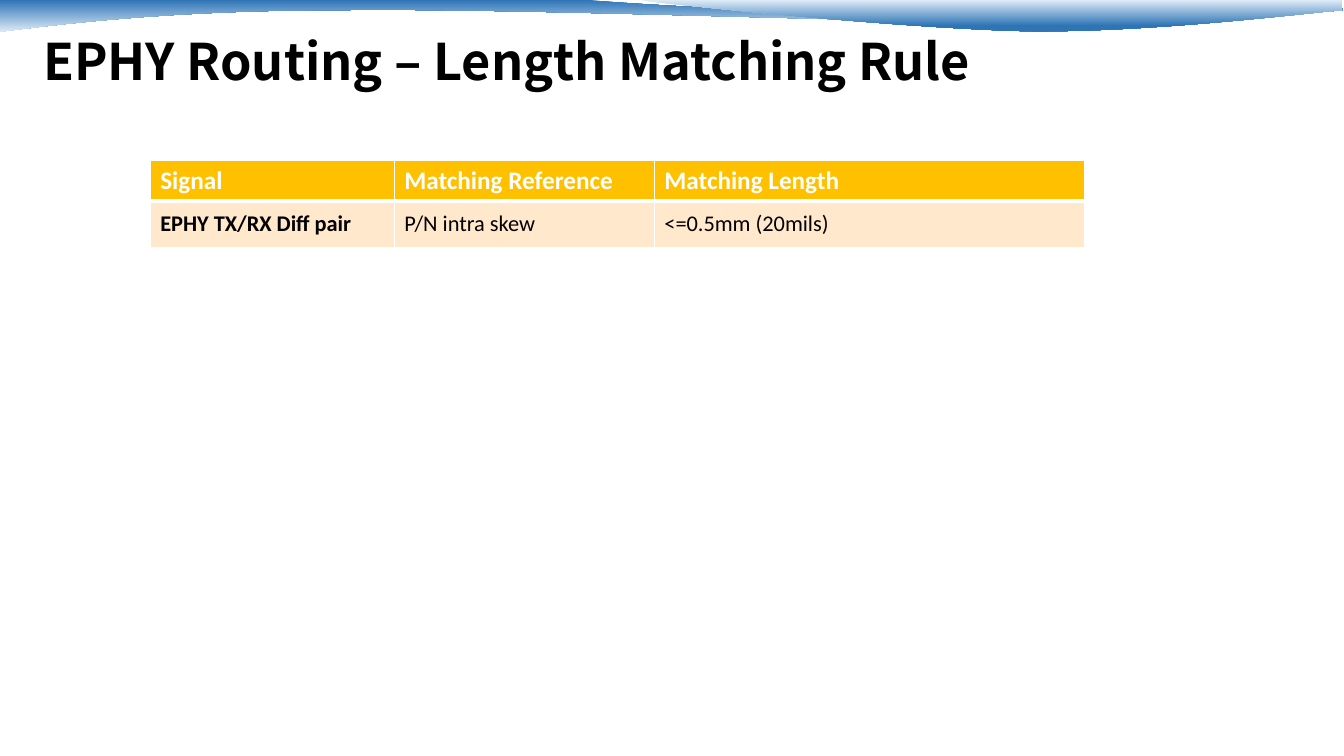
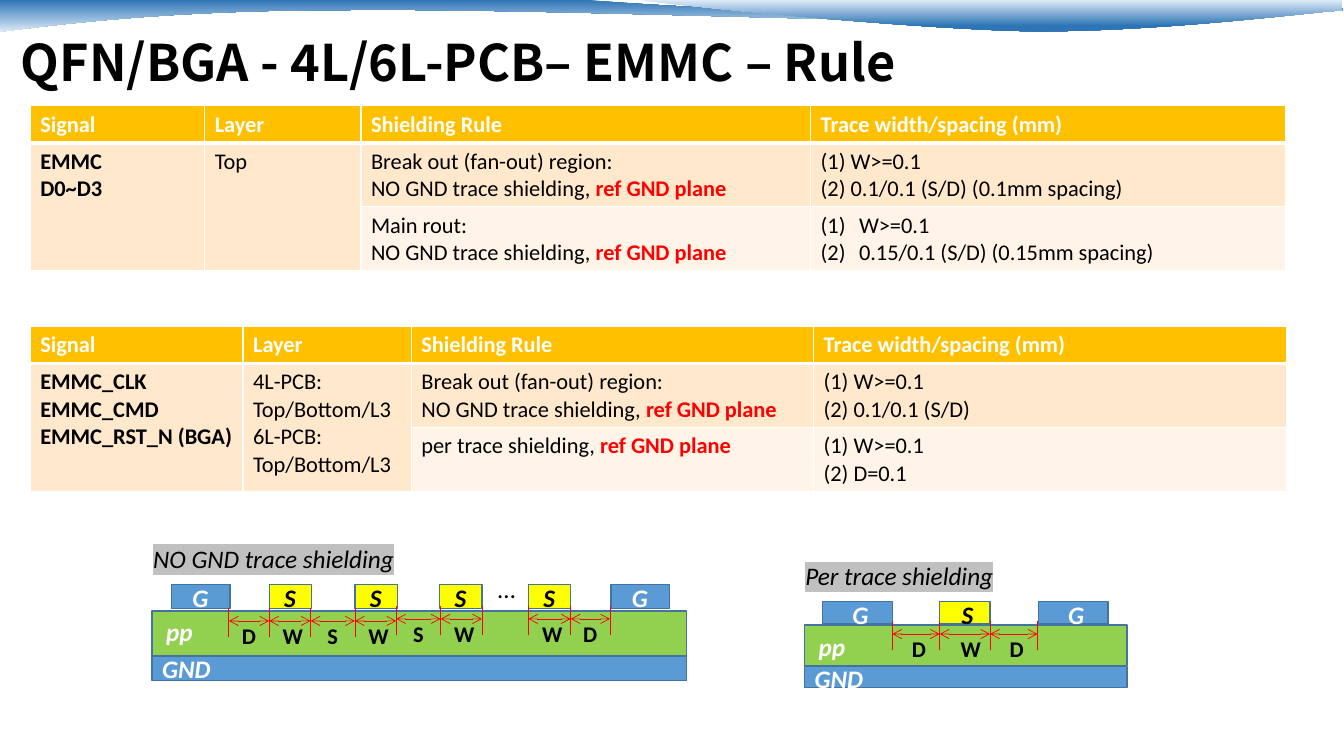
from dataclasses import dataclass
from itertools import pairwise

from lxml import etree
from pptx import Presentation
from pptx.dml.color import RGBColor
from pptx.enum.shapes import MSO_CONNECTOR as Connector, MSO_SHAPE as Preset
from pptx.enum.text import MSO_ANCHOR as Anchor, MSO_AUTO_SIZE as AutoSize
from pptx.oxml.ns import qn
from pptx.util import Inches, Pt


@dataclass(frozen=True)
class Theme:
    title_font: str = "Noto Sans CJK TC"
    body_font: str = "Calibri"
    title_size: int = 36
    large: int = 18
    small: int = 16
    black: str = "000000"
    white: str = "FFFFFF"
    red: str = "FF0000"
    header: str = "FFC000"
    odd_row: str = "FFE8CC"
    even_row: str = "FFF4E7"
    wave_dark: str = "2E75B6"
    wave_light: str = "DEEBF7"
    prepreg: str = "92D050"
    copper: str = "5B9BD5"
    signal: str = "FFFF00"
    outline: str = "43739E"
    highlight: str = "C0C0C0"


THEME = Theme()


@dataclass(frozen=True)
class Section:
    caption: str
    left: float
    top: float
    width: float
    pad_height: float
    prepreg: tuple
    ground: tuple
    pads: tuple
    runs: tuple
    label_shift: float = 0


WAVES = (
    (
        (((-0.03, 0),), ((5.84, 0),),
         ((6.32, 0.05), (8.82, 0.18), (10.09, 0.18)),
         ((11.35, 0.18), (12.75, 0.07), (13.31, 0.03)),
         ((13.32, 0.1),),
         ((13.09, 0.13), (11.57, 0.22), (9.92, 0.22)),
         ((8.27, 0.21), (5.06, 0.08), (3.4, 0.1)),
         ((1.7, 0.1), (0.59, 0.24), (-0.04, 0.32))),
        ((0, THEME.wave_dark), (1, THEME.wave_light)),
    ),
    (
        (((6.36, 0),),
         ((6.77, 0.06), (9.07, 0.29), (10.22, 0.31)),
         ((11.38, 0.32), (12.79, 0.15), (13.31, 0.1)),
         ((13.31, 0),)),
        ((0, THEME.wave_light), (0.8, THEME.wave_dark)),
    ),
)

SECTIONS = (
    Section(
        "NO GND trace shielding", 1.51, 5.8, 5.3, 0.24, (0.26, 0.51), (0.71, 0.24),
        (("G", 0.19, 0.58), ("S", 1.16, 0.42), ("S", 2.01, 0.42),
         ("S", 2.85, 0.42), ("S", 3.73, 0.42), ("G", 4.55, 0.58)),
        ((0.36, (0.76, 1.16, 1.57, 2.01, 2.42), "DWSW"),
         (0.34, (2.42, 2.86, 3.27), "SW"),
         (0.34, (3.73, 4.15, 4.54), "WD")),
    ),
    Section(
        "Per trace shielding", 7.98, 5.97, 3.2, 0.22, (0.23, 0.4), (0.64, 0.21),
        (("G", 0.18, 0.69), ("S", 1.34, 0.5), ("G", 2.32, 0.69)),
        ((0.32, (0.87, 1.34, 1.84, 2.31), "DWD"),),
        0.03,
    ),
)

RULE_HEADER = ("Signal", "Layer", "Shielding Rule", "Trace width/spacing (mm)")
BREAK_OUT = ("Break out (fan-out) region:\nNO GND trace shielding, *ref GND plane*",)
DATA_RULES = (
    (("EMMC", "D0~D3"), ("Top",), BREAK_OUT,
     ("(1) W>=0.1", "(2) 0.1/0.1 (S/D) (0.1mm spacing)")),
    (None, None, ("Main rout:", "NO GND trace shielding, *ref GND plane*"),
     ("#W>=0.1", "#0.15/0.1 (S/D) (0.15mm spacing)")),
)
CONTROL_RULES = (
    (("EMMC_CLK", "EMMC_CMD", "EMMC_RST_N (BGA)"),
     ("4L-PCB: \nTop/Bottom/L3", "6L-PCB:\nTop/Bottom/L3"), BREAK_OUT,
     ("(1) W>=0.1", "(2) 0.1/0.1 (S/D)")),
    (None, None, ("per trace shielding, *ref GND plane*",), ("(1) W>=0.1", "(2) D=0.1")),
)


def color(value):
    return RGBColor.from_string(value)


def style(font, size, value, bold=False, italic=False, name=THEME.body_font):
    font.name = name
    font.size = Pt(size)
    font.bold = bold
    font.italic = italic
    font.color.rgb = color(value)


def bend(shape, pieces):
    lines = iter(list(shape._element.iter(qn("a:lnTo"))))
    for piece in pieces:
        steps = [next(lines) for _ in piece]
        if len(steps) == 3:
            curve = etree.Element(qn("a:cubicBezTo"))
            steps[0].addprevious(curve)
            for step in steps:
                curve.append(step[0])
                step.getparent().remove(step)


def add_waves(page):
    for pieces, stops in WAVES:
        corners = [(Inches(x), Inches(y)) for piece in pieces for x, y in piece]
        builder = page.shapes.build_freeform(*corners[0])
        builder.add_line_segments(corners[1:], close=True)
        wave = builder.convert_to_shape()
        bend(wave, pieces[1:])
        wave.shadow.inherit = False
        wave.line.fill.background()
        wave.fill.gradient()
        wave.fill.gradient_angle = 270
        for stop, (position, value) in zip(wave.fill.gradient_stops, stops):
            stop.position = position
            stop.color.rgb = color(value)


def add_title(page, text, left, top):
    box = page.shapes.add_textbox(Inches(left), Inches(top), Inches(12.26), Inches(0.79))
    frame = box.text_frame
    frame.word_wrap = True
    frame.vertical_anchor = Anchor.BOTTOM
    frame.margin_top = frame.margin_bottom = 0
    para = frame.paragraphs[0]
    para.text = text
    para.line_spacing = 0.9
    style(para.font, THEME.title_size, THEME.black, bold=True, name=THEME.title_font)


def add_page(deck, title, left, top):
    page = deck.slides.add_slide(deck.slide_layouts[6])
    add_waves(page)
    add_title(page, title, left, top)
    return page


def set_borders(cell, row):
    props = cell._tc.get_or_add_tcPr()
    weights = {"L": 1, "R": 1, "T": 3 if row == 1 else 1, "B": 3 if row == 0 else 1}
    for side, weight in weights.items():
        line = etree.SubElement(props, qn(f"a:ln{side}"), w=str(Pt(weight)))
        fill = etree.SubElement(line, qn("a:solidFill"))
        etree.SubElement(fill, qn("a:srgbClr"), val=THEME.white)


def number(para):
    props = para._p.get_or_add_pPr()
    props.set("marL", str(Inches(0.38)))
    props.set("indent", str(Inches(-0.38)))
    etree.SubElement(props, qn("a:buFont"), typeface="+mj-lt")
    etree.SubElement(props, qn("a:buAutoNum"), type="arabicParenBoth")


def fill_cell(cell, texts, size, value, bold):
    frame = cell.text_frame
    for index, text in enumerate(texts):
        para = frame.add_paragraph() if index else frame.paragraphs[0]
        if text.startswith("#"):
            number(para)
        style(para.font, size, value, bold)
        for part_index, part in enumerate(text.lstrip("#").split("*")):
            for line_index, line in enumerate(part.split("\n")):
                if line_index:
                    para.add_line_break()
                if line:
                    span = para.add_run()
                    span.text = line
                    if part_index % 2:
                        span.font.bold = True
                        span.font.color.rgb = color(THEME.red)


def add_rules(page, left, top, widths, heights, header, body, header_size, anchor=Anchor.TOP):
    rows = [[(text,) for text in header], *body]
    table = page.shapes.add_table(
        len(rows), len(widths), Inches(left), Inches(top),
        Inches(sum(widths)), Inches(sum(heights))).table
    for column, width in zip(table.columns, widths):
        column.width = Inches(width)
    for row, height in zip(table.rows, heights):
        row.height = Inches(height)
    fills = (THEME.header, THEME.odd_row, THEME.even_row)
    for r, row in enumerate(rows):
        for c, texts in enumerate(row):
            cell = table.cell(r, c)
            set_borders(cell, r)
            cell.fill.solid()
            cell.fill.fore_color.rgb = color(fills[r] if texts else THEME.odd_row)
            if texts is None:
                table.cell(r - 1, c).merge(cell)
            elif r == 0:
                fill_cell(cell, texts, header_size, THEME.white, True)
            else:
                cell.vertical_anchor = anchor
                fill_cell(cell, texts, THEME.small, THEME.black, c == 0)


def add_block(shapes, left, top, width, height, fill):
    block = shapes.add_shape(
        Preset.RECTANGLE, Inches(left), Inches(top), Inches(width), Inches(height))
    block.shadow.inherit = False
    block.fill.solid()
    block.fill.fore_color.rgb = color(fill)
    block.line.color.rgb = color(THEME.outline)
    block.line.width = Pt(1)


def add_label(shapes, text, left, top, width, size=THEME.large, value=THEME.black,
              bold=True, italic=True):
    box = shapes.add_textbox(Inches(left), Inches(top), Inches(width),
                             Inches(0.4 if size == THEME.large else 0.37))
    box.text_frame.word_wrap = False
    box.text_frame.auto_size = AutoSize.SHAPE_TO_FIT_TEXT
    para = box.text_frame.paragraphs[0]
    span = para.add_run()
    span.text = text
    style(para.font, size, value, bold, italic)
    return span


def add_caption(shapes, text, left, top, width):
    span = add_label(shapes, text, left, top, width, bold=False)
    mark = etree.SubElement(span._r.get_or_add_rPr(), qn("a:highlight"))
    etree.SubElement(mark, qn("a:srgbClr"), val=THEME.highlight)


def add_line(shapes, x1, y1, x2, y2, arrows=False):
    line = shapes.add_connector(
        Connector.STRAIGHT, Inches(x1), Inches(y1), Inches(x2), Inches(y2))
    line.line.color.rgb = color(THEME.red)
    line.line.width = Pt(0.5)
    if arrows:
        for end in ("headEnd", "tailEnd"):
            etree.SubElement(line.line._get_or_add_ln(), qn(f"a:{end}"), type="arrow")
    etree.SubElement(line._element.spPr, qn("a:effectLst"))


def add_dimensions(shapes, left, top, runs, label_shift):
    letter_boxes = {"D": (0.34, 0), "W": (0.4, 0.03), "S": (0.3, 0)}
    ticks = {edge: level for level, edges, _ in runs for edge in edges}
    for edge, level in ticks.items():
        x, y = left + edge, top + level
        add_line(shapes, x, y + 0.16, x, y - 0.13)
    for level, edges, letters in runs:
        y = top + level
        for (start, end), letter in zip(pairwise(edges), letters):
            add_line(shapes, left + start, y, left + end, y, arrows=True)
            width, shift = letter_boxes[letter]
            x = left + (start + end - width) / 2 + shift + label_shift
            add_label(shapes, letter, x, y - 0.04, width, THEME.small, italic=False)


def add_section(page, section, caption_width):
    shapes = page.shapes.add_group_shape().shapes
    left, top = section.left, section.top
    prepreg_top, ground_top = top + section.prepreg[0], top + section.ground[0]
    add_block(shapes, left, prepreg_top, section.width, section.prepreg[1], THEME.prepreg)
    add_block(shapes, left, ground_top, section.width, section.ground[1], THEME.copper)
    add_label(shapes, "pp", left + 0.04, prepreg_top + 0.01, 0.52, value=THEME.white)
    add_label(shapes, "GND", left, ground_top - 0.08, 0.72, value=THEME.white)
    pad_styles = {"G": (THEME.copper, THEME.white, 0.36),
                  "S": (THEME.signal, THEME.black, 0.32)}
    for letter, offset, width in section.pads:
        fill, value, label_width = pad_styles[letter]
        add_block(shapes, left + offset, top, width, section.pad_height, fill)
        x = left + offset + (width - label_width) / 2 + section.label_shift
        add_label(shapes, letter, x, top - 0.07, label_width, value=value)
    add_dimensions(shapes, left, top, section.runs, section.label_shift)
    add_caption(shapes, section.caption, left - 0.09, top - 0.46, caption_width)


def build_ephy(deck):
    page = add_page(deck, "EPHY Routing – Length Matching Rule", 0.33, 0.12)
    add_rules(page, 1.49, 1.59, (2.42, 2.58, 4.27), (0.3, 0.47),
              ("Signal", "Matching Reference", "Matching Length"),
              ((("EPHY TX/RX Diff pair",), ("P/N intra skew",), ("<=0.5mm (20mils)",)),),
              THEME.large, Anchor.MIDDLE)


def build_emmc(deck):
    page = add_page(deck, "QFN/BGA - 4L/6L-PCB– EMMC – Rule", 0.11, 0.13)
    heights = (0.34, 0.62, 0.62)
    for top, widths, body in ((3.24, (2.11, 1.67, 3.99, 4.69), CONTROL_RULES),
                              (1.05, (1.73, 1.55, 4.46, 4.71), DATA_RULES)):
        add_rules(page, 0.3, top, widths, heights, RULE_HEADER, body, THEME.small)
    for section, caption_width in zip(SECTIONS, (2.59, 2.07)):
        add_section(page, section, caption_width)
    add_label(page.shapes, "…", 4.84, 5.64, 0.37, bold=False, italic=False)


def main():
    deck = Presentation()
    deck.slide_width, deck.slide_height = Inches(13.33), Inches(7.5)
    build_ephy(deck)
    build_emmc(deck)
    deck.save("out.pptx")


if __name__ == "__main__":
    main()
